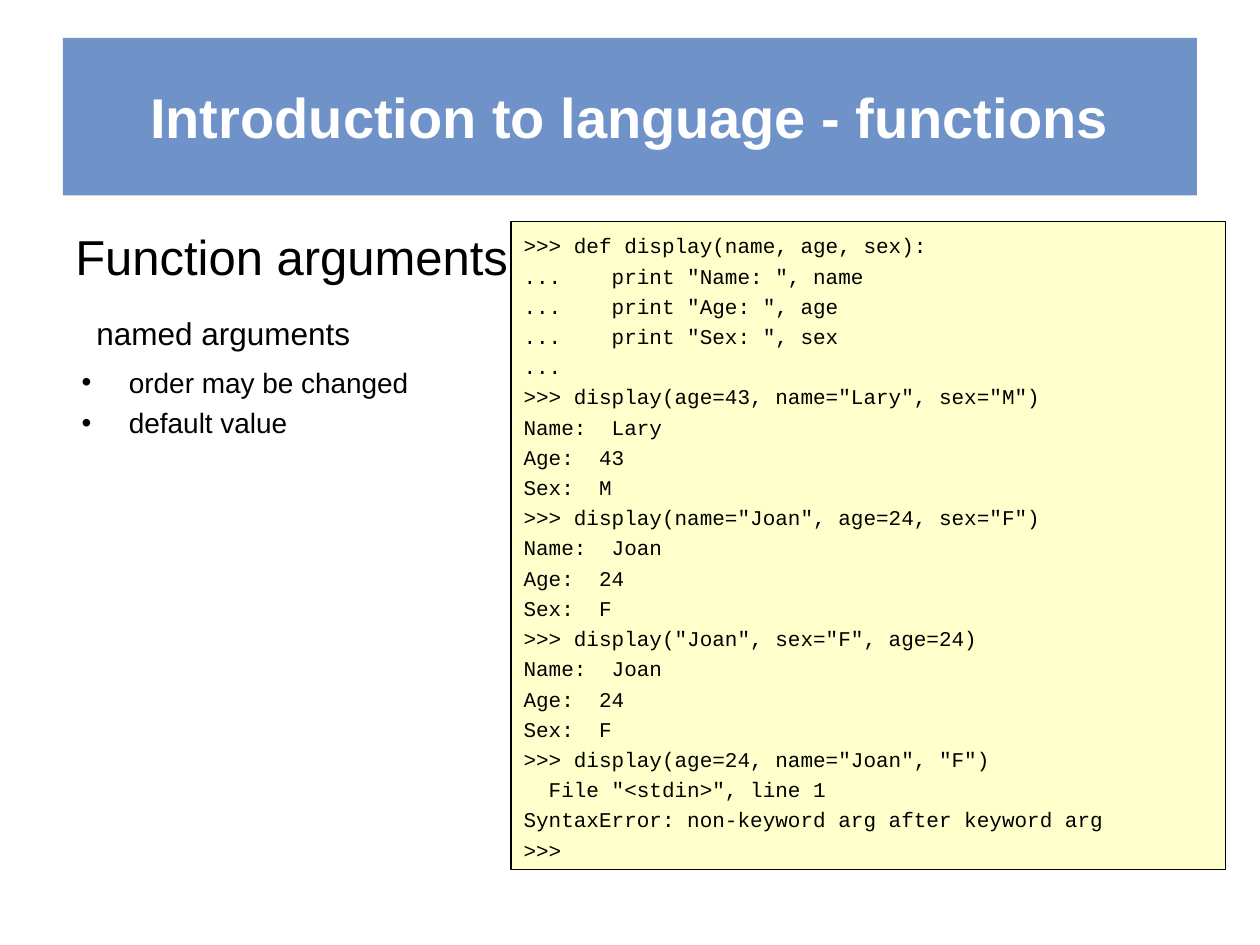
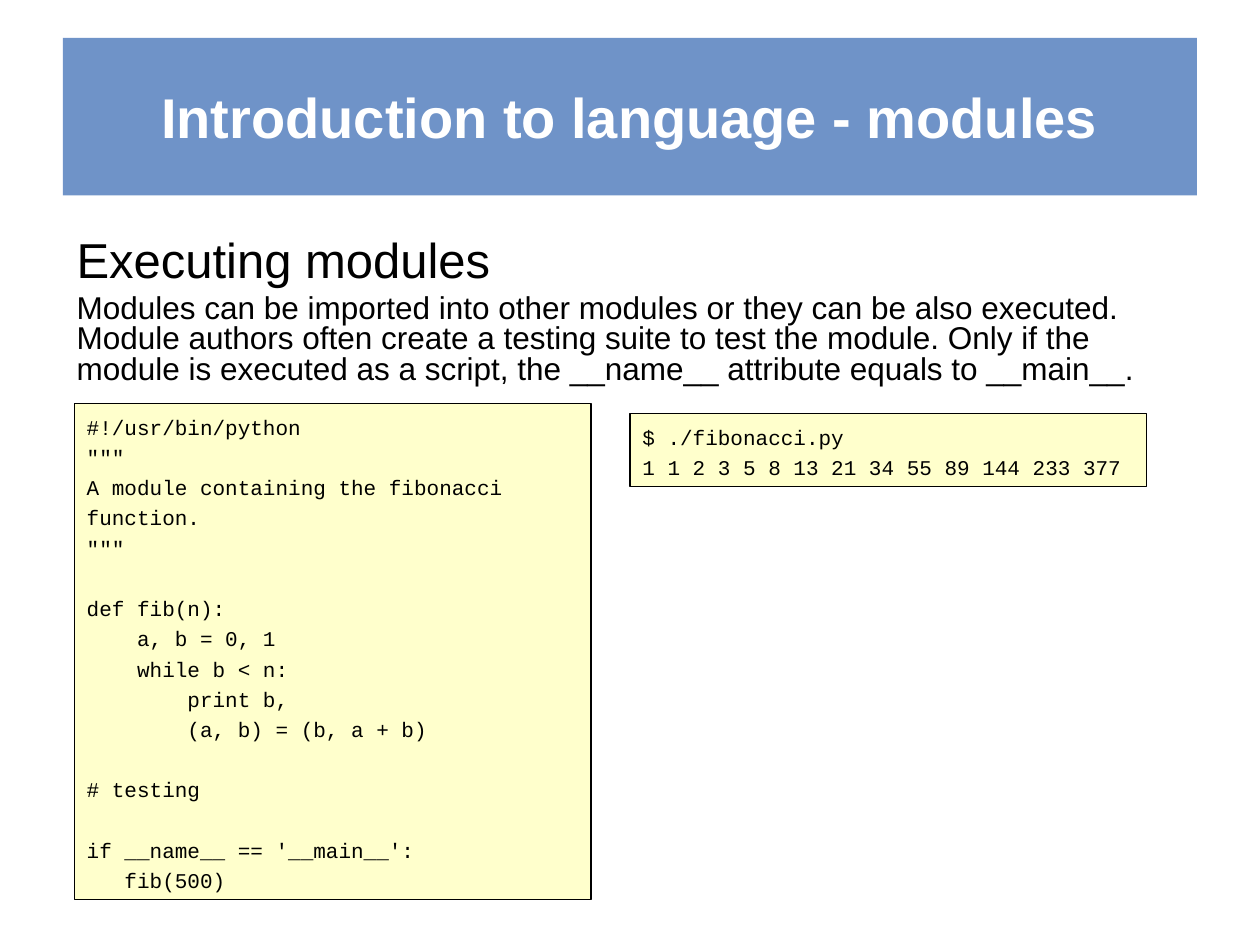
from pptx import Presentation
from pptx.util import Pt
from pptx.dml.color import RGBColor as RGB
from pptx.enum.shapes import MSO_SHAPE as Shape
from pptx.enum.text import MSO_ANCHOR as Anchor, PP_ALIGN as Align
from pptx.oxml.ns import qn
from lxml.etree import SubElement as Sub

HUES = {"band": "4775B9", "code": "FFFFCC", "ink": "000000", "paper": "FFFFFF"}
SANS, MONO = "Arial", "Courier New"
HEAD, NOTE, ITEM, CODE = 28, 18, 16, 12
BAND = (36, 21.6, 648, 90)
LINE = 17.28  # height of one code line

CALLS = '''>>> def display(name, age, sex):
...    print "Name: ", name
...    print "Age: ", age
...    print "Sex: ", sex
...
>>> display(age=43, name="Lary", sex="M")
Name:  Lary
Age:  43
Sex:  M
>>> display(name="Joan", age=24, sex="F")
Name:  Joan
Age:  24
Sex:  F
>>> display("Joan", sex="F", age=24)
Name:  Joan
Age:  24
Sex:  F
>>> display(age=24, name="Joan", "F")
  File "<stdin>", line 1
SyntaxError: non-keyword arg after keyword arg
>>>'''

MODULE = '''#!/usr/bin/python
"""
A module containing the fibonacci
function.
"""

def fib(n):
    a, b = 0, 1
    while b < n:
        print b,
        (a, b) = (b, a + b)

# testing

if __name__ == '__main__':
   fib(500)'''

OUTPUT = '''$ ./fibonacci.py
1 1 2 3 5 8 13 21 34 55 89 144 233 377'''

ABOUT = ("Modules can be imported into other modules or they can be also executed. "
         "Module authors often create a testing suite to test the module. "
         "Only if the module is executed as a script, "
         "the __name__ attribute equals to __main__.")


def hue(name):
    return RGB.from_string(HUES[name])


def write(frame, text, size, face=SANS, color="ink", bold=False,
          before=0, lead=1.0, align=Align.LEFT):
    """Add a paragraph, using the empty first one if it is still free."""
    first = frame.paragraphs[0]
    para = frame.add_paragraph() if first.runs else first
    para.text = text
    para.alignment = align
    para.space_before = Pt(before)
    para.line_spacing = lead
    font = para.font
    font.name, font.size, font.bold = face, Pt(size), bold
    font.color.rgb = hue(color)
    return para


def panel(slide, box, fill, anchor):
    shape = slide.shapes.add_shape(Shape.RECTANGLE, *map(Pt, box))
    shape.shadow.inherit = False
    shape.fill.solid()
    shape.fill.fore_color.rgb = hue(fill)
    shape.text_frame.word_wrap = True
    shape.text_frame.vertical_anchor = anchor
    return shape


def title(slide, box, text):
    band = panel(slide, box, "band", Anchor.MIDDLE)
    band.line.fill.background()
    tint = band.fill._xPr.find(qn("a:solidFill"))[0]
    Sub(tint, qn("a:alpha"), val="78000")
    write(band.text_frame, text, 32, color="paper", bold=True, align=Align.CENTER)


def listing(slide, left, top, width, code):
    """Frame the code lines; the height follows from their number."""
    lines = code.split("\n")
    height = round(len(lines) * LINE + 7.2, 2)
    shape = panel(slide, (left, top, width, height), "code", Anchor.TOP)
    shape.line.color.rgb = hue("ink")
    shape.line.width = Pt(0.75)
    gap = 0
    for line in lines:
        if line:
            write(shape.text_frame, line, CODE, MONO, before=gap, lead=1.2)
            gap = 0
        else:
            gap += LINE


def prose(slide, box):
    frame = slide.shapes.add_textbox(*map(Pt, box)).text_frame
    frame.word_wrap = True
    return frame


def bullets(slide, box, items):
    frame = prose(slide, box)
    for item in items:
        props = write(frame, item, ITEM, before=4)._p.get_or_add_pPr()
        props.set("marL", str(Pt(27)))
        props.set("indent", str(-Pt(27)))
        Sub(props, qn("a:buFont"), typeface=SANS)
        Sub(props, qn("a:buChar"), char="•")
        # the schema wants the run defaults after the bullet
        props.append(props.find(qn("a:defRPr")))


def functions(slide):
    title(slide, BAND, "Introduction to language - functions")
    listing(slide, 292.1, 126.7, 408.3, CALLS)
    write(prose(slide, (36, 126, 648, 36)), "Function arguments", HEAD, before=7)
    write(prose(slide, (48, 175.7, 204.5, 36)), "named arguments", NOTE, before=4.5)
    bullets(slide, (39.6, 205.2, 221, 108), ["order may be changed", "default value"])


def modules_page(slide):
    title(slide, BAND, "Introduction to language - modules")
    body = prose(slide, (36.7, 133.9, 648, 102.2))
    write(body, "Executing modules", HEAD, before=7, lead=0.8)
    write(body, ABOUT, NOTE, before=4.5, lead=0.8)
    listing(slide, 42.5, 230.4, 295.2, MODULE)
    listing(slide, 360, 236.2, 295.2, OUTPUT)


def main():
    deck = Presentation()
    deck.slide_width, deck.slide_height = Pt(720), Pt(540)
    for draw in (functions, modules_page):
        draw(deck.slides.add_slide(deck.slide_layouts[6]))
    deck.save("out.pptx")


if __name__ == "__main__":
    main()
